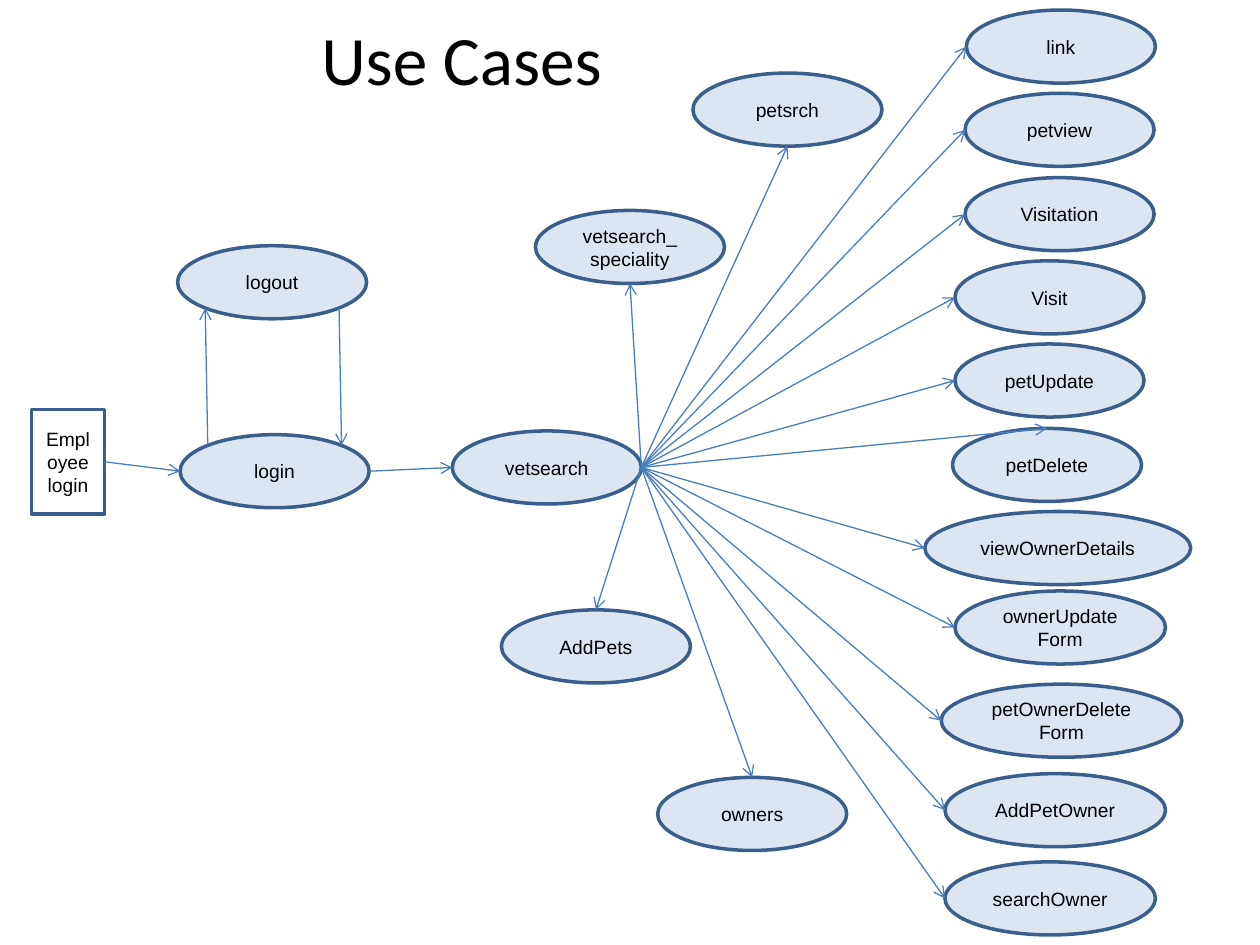
from lxml.etree import SubElement
from pptx import Presentation
from pptx.dml.color import RGBColor
from pptx.enum.shapes import MSO_CONNECTOR, MSO_SHAPE
from pptx.enum.text import MSO_ANCHOR, PP_ALIGN
from pptx.oxml.ns import qn
from pptx.util import Inches, Pt

BLACK = RGBColor(0x00, 0x00, 0x00)
PALE_BLUE = RGBColor(0xDC, 0xE6, 0xF2)
OUTLINE_BLUE = RGBColor(0x3A, 0x5F, 0x8C)
ARROW_BLUE = RGBColor(0x4B, 0x7E, 0xBC)

LABEL_FONT = {"name": "Arial", "size": Pt(11)}
TITLE_FONT = {"name": "Calibri", "size": Pt(39.6)}

OVAL_HEIGHT = 0.58
# label: left, top, width
USE_CASES = {
    "vetsearch_ speciality": (4.25, 1.67, 1.5),
    "petsrch": (5.5, 0.58, 1.5),
    "link": (7.67, 0.08, 1.5),
    "petview": (7.66, 0.74, 1.5),
    "Visitation": (7.66, 1.41, 1.5),
    "Visit": (7.58, 2.07, 1.5),
    "petUpdate": (7.58, 2.73, 1.5),
    "petDelete": (7.56, 3.4, 1.5),
    "viewOwnerDetails": (7.34, 4.06, 2.11),
    "ownerUpdateForm": (7.58, 4.69, 1.67),
    "petOwnerDeleteForm": (7.47, 5.43, 1.91),
    "AddPetOwner": (7.5, 6.14, 1.75),
    "searchOwner": (7.5, 6.84, 1.67),
    "AddPets": (3.98, 4.84, 1.5),
    "owners": (5.22, 6.17, 1.5),
    "login": (1.43, 3.45, 1.5),
    "vetsearch": (3.59, 3.42, 1.5),
    "logout": (1.41, 1.95, 1.5),
}

# Where an arrow meets a shape, as fractions of its width and height
DIAGONAL = 0.146
SITES = {
    "top": (0.5, 0),
    "bottom": (0.5, 1),
    "left": (0, 0.5),
    "right": (1, 0.5),
    "top left": (DIAGONAL, DIAGONAL),
    "top right": (1 - DIAGONAL, DIAGONAL),
    "bottom left": (DIAGONAL, 1 - DIAGONAL),
    "bottom right": (1 - DIAGONAL, 1 - DIAGONAL),
}

LOGIN_FLOW = [
    ("Employee login", "right", "login", "left"),
    ("login", "right", "vetsearch", "left"),
    ("login", "top left", "logout", "bottom left"),
    ("logout", "bottom right", "login", "top right"),
]
# Search targets are entered from the left unless listed here
SEARCH_ENTRIES = {
    "vetsearch_ speciality": "bottom",
    "petsrch": "bottom",
    "petDelete": "top",
    "AddPets": "top",
    "owners": "top",
}


def write_text(shape, text, font, align):
    frame = shape.text_frame
    frame.word_wrap = True
    frame.vertical_anchor = MSO_ANCHOR.MIDDLE
    para = frame.paragraphs[0]
    para.alignment = align
    span = para.add_run()
    span.text = text
    for name, value in font.items():
        setattr(span.font, name, value)
    span.font.color.rgb = BLACK


def add_title(page, text):
    box = page.shapes.add_textbox(Inches(0.25), Inches(0.17), Inches(9), Inches(0.58))
    box.text_frame.margin_left = Inches(2.3)
    write_text(box, text, TITLE_FONT, PP_ALIGN.LEFT)


def add_node(page, kind, label, bounds, fill=None):
    node = page.shapes.add_shape(kind, *map(Inches, bounds))
    node.shadow.inherit = False
    if fill is None:
        node.fill.background()
    else:
        node.fill.solid()
        node.fill.fore_color.rgb = fill
    node.line.color.rgb = OUTLINE_BLUE
    node.line.width = Pt(2)
    write_text(node, label, LABEL_FONT, PP_ALIGN.CENTER)
    return node


def site_point(node, site):
    across, down = SITES[site]
    return round(node.left + across * node.width), round(node.top + down * node.height)


def add_arrow(page, start, end):
    arrow = page.shapes.add_connector(MSO_CONNECTOR.STRAIGHT, *start, *end)
    arrow.line.color.rgb = ARROW_BLUE
    arrow.line.width = Pt(0.75)
    SubElement(arrow.line._get_or_add_ln(), qn("a:tailEnd"), type="arrow")
    SubElement(arrow._element.spPr, qn("a:effectLst"))


def main():
    deck = Presentation()
    deck.slide_width, deck.slide_height = Inches(10), Inches(7.5)
    page = deck.slides.add_slide(deck.slide_layouts[6])
    add_title(page, "Use Cases")

    nodes = {
        label: add_node(page, MSO_SHAPE.OVAL, label, (*place, OVAL_HEIGHT), PALE_BLUE)
        for label, place in USE_CASES.items()
    }
    actor = "Employee login"
    nodes[actor] = add_node(page, MSO_SHAPE.RECTANGLE, actor, (0.25, 3.25, 0.58, 0.83))

    search_flow = [
        ("vetsearch", "right", label, SEARCH_ENTRIES.get(label, "left"))
        for label in USE_CASES
        if label not in ("login", "logout", "vetsearch")
    ]
    for source, exit_site, target, entry_site in LOGIN_FLOW + search_flow:
        add_arrow(page, site_point(nodes[source], exit_site),
                  site_point(nodes[target], entry_site))

    deck.save("out.pptx")


if __name__ == "__main__":
    main()
